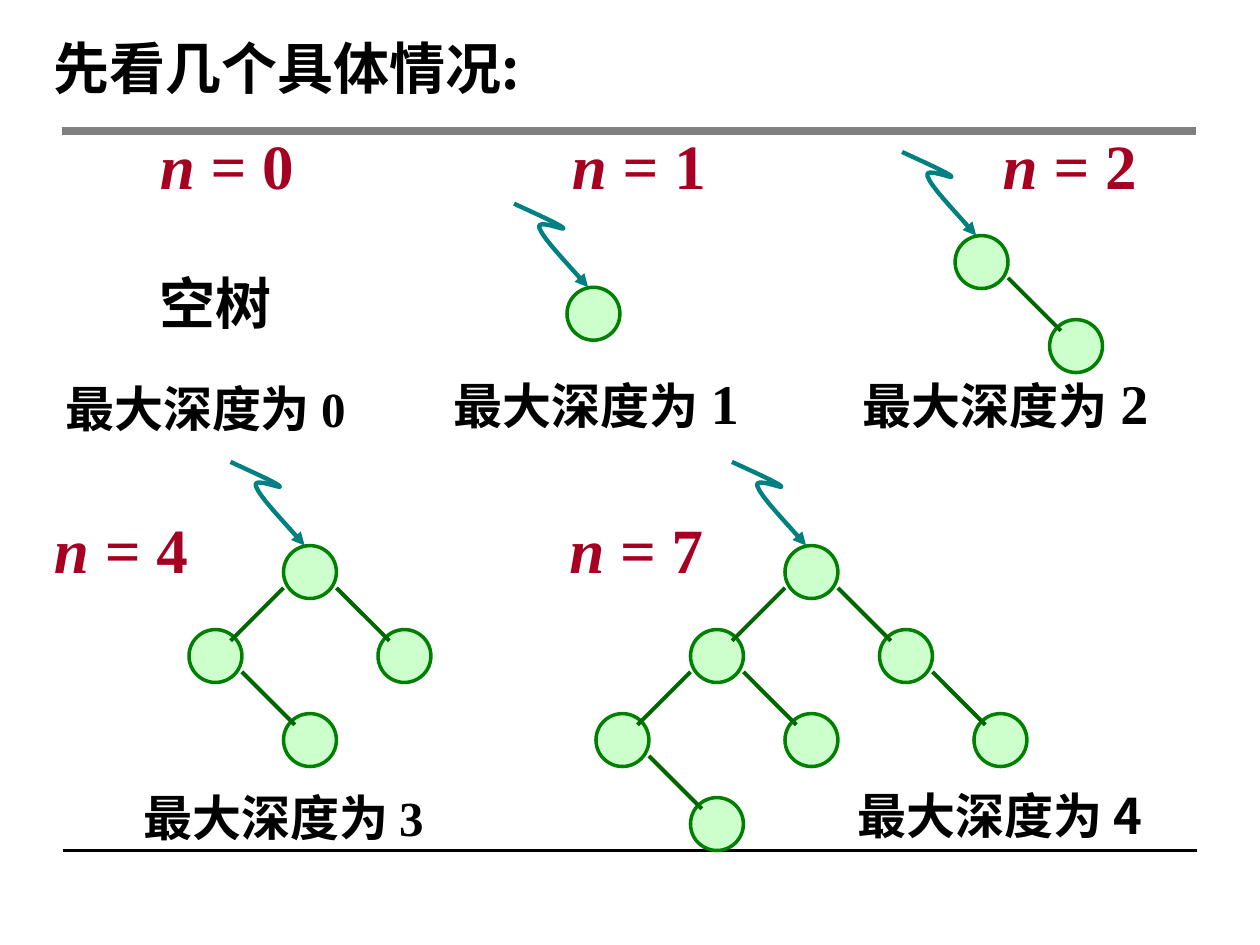
from pptx import Presentation
from pptx.dml.color import RGBColor
from pptx.enum.shapes import MSO_CONNECTOR, MSO_SHAPE
from pptx.enum.text import MSO_ANCHOR, PP_ALIGN
from pptx.oxml.ns import qn
from pptx.util import Inches, Pt
from lxml import etree

STRAIGHT = MSO_CONNECTOR.STRAIGHT
ELLIPSE = MSO_SHAPE.OVAL
MIDDLE = MSO_ANCHOR.MIDDLE
LEFT, RIGHT = PP_ALIGN.LEFT, PP_ALIGN.RIGHT

WIDTH, HEIGHT = Inches(10), Inches(7.5)
SERIF, SANS = "Times New Roman", "Noto Sans CJK SC"
BLACK, RED = "000000", "A50021"

NODE_W, NODE_H = 4.2, 5.6
COLUMN, ROW = 7.5, 8.89
POINTER = [(-1, -1.58), (-0.57, -1.38), (-0.14, -1.19), (-0.07, -1.12),
           (0, -1.05), (-0.6, -1.31), (-0.52, -1.12),
           (-0.45, -0.93), (-0.02, -0.48), (0.4, 0)]

CASES = [
    ("= 0", 11.7, 12.67),
    ("= 1", 44.4, 12.67),
    ("= 2", 78.6, 12.67),
    ("= 4", 3.3, 53.33),
    ("= 7", 44.2, 53.33),
]
DEPTHS = [
    ((4.2, 39.33, 28.3, 7.6), [("最大深度为 ", SANS, 28), ("0", SERIF, 28)]),
    ((35, 38.27, 30, 8.53), [("最大深度为", SERIF, 28), (" 1", SERIF, 32)]),
    ((67.5, 38.27, 29.8, 8.53), [("最大深度为", SANS, 28), (" 2", SERIF, 32)]),
    ((10.4, 82.67, 28.3, 7.6), [("最大深度为 ", SANS, 28), ("3", SERIF, 28)]),
    ((67.1, 82.4, 30, 7.6), [("最大深度为 4", SANS, 28)]),
]
TREES = [
    (45, 30.4, []),
    (75.8, 24.93, ["R"]),
    (22.5, 57.73, ["R", "L", "LR"]),
    (62.3, 57.73, ["R", "L", "LR", "RR", "LL", "LLR"]),
]


def across(percent):
    return round(WIDTH * percent / 100)


def down(percent):
    return round(HEIGHT * percent / 100)


def colour(value):
    return RGBColor.from_string(value)


def set_line(line, value, width):
    line.color.rgb = colour(value)
    line.width = Pt(width)


def add_text(slide, place, runs, align=LEFT, wrap=True):
    x, y, w, h = place
    frame = slide.shapes.add_textbox(across(x), down(y), across(w), down(h)).text_frame
    frame.word_wrap = wrap
    frame.vertical_anchor = MIDDLE
    paragraph = frame.paragraphs[0]
    paragraph.alignment = align
    for text, formats, value in runs:
        run = paragraph.add_run()
        run.text = text
        run.font.color.rgb = colour(value)
        for name, setting in formats.items():
            setattr(run.font, name, setting)
        east_asian = etree.SubElement(run.font._element, qn("a:ea"))
        east_asian.set("typeface", SANS)


def styled(text, font, size, value=BLACK, italic=False):
    formats = {"name": font, "size": Pt(size), "bold": True, "italic": italic}
    return text, formats, value


def add_line(slide, start, end, value, width):
    line = slide.shapes.add_connector(
        STRAIGHT, across(start[0]), down(start[1]), across(end[0]), down(end[1]))
    set_line(line.line, value, width)
    etree.SubElement(line._element.spPr, qn("a:effectLst"))


def add_node(slide, x, y):
    node = slide.shapes.add_shape(ELLIPSE, across(x), down(y), across(NODE_W), down(NODE_H))
    node.shadow.inherit = False
    node.fill.solid()
    node.fill.fore_color.rgb = colour("CCFFCC")
    set_line(node.line, "008000", 2)


def add_pointer(slide, x, y):
    points = [(across(x + dx * NODE_W), down(y + dy * NODE_H)) for dx, dy in POINTER]
    builder = slide.shapes.build_freeform(*points[0], scale=1.0)
    builder.add_line_segments(points[1:], close=False)
    pointer = builder.convert_to_shape()
    pointer.shadow.inherit = False
    pointer.fill.background()
    set_line(pointer.line, "008080", 2.5)
    etree.SubElement(pointer.line._get_or_add_ln(), qn("a:tailEnd")).set("type", "triangle")
    outline = pointer._element.xpath(".//a:path")[0]
    segments = outline.findall(qn("a:lnTo"))
    for first in range(0, len(segments), 3):
        curve = etree.SubElement(outline, qn("a:cubicBezTo"))
        for segment in segments[first:first + 3]:
            curve.append(segment[0])
            outline.remove(segment)


def add_tree(slide, root_x, root_y, descents):
    add_node(slide, root_x, root_y)
    add_pointer(slide, root_x, root_y)
    for descent in descents:
        side = 1 if descent[-1] == "R" else -1
        x = root_x + (descent.count("R") - descent.count("L")) * COLUMN
        y = root_y + len(descent) * ROW
        add_node(slide, x, y)
        parent_x, parent_y = x - side * COLUMN, y - ROW
        start_x = parent_x + (NODE_W if side == 1 else 0)
        start_y = parent_y + 0.8 * NODE_H
        end = (start_x + side * NODE_W, start_y + NODE_H)
        add_line(slide, (start_x, start_y), end, "006600", 2.25)


def main():
    deck = Presentation()
    deck.slide_width, deck.slide_height = WIDTH, HEIGHT
    slide = deck.slides.add_slide(deck.slide_layouts[6])
    add_line(slide, (5, 90), (95, 90), BLACK, 2)
    add_line(slide, (4.9, 13.87), (94.9, 13.87), "808080", 5)
    for count, x, y in CASES:
        add_text(slide, (x, y, 13.1, 9.33),
                 [styled("n ", SERIF, 36, RED, True), styled(count, SERIF, 36, RED)])
    add_text(slide, (11.7, 27.73, 13.1, 8.53), [styled("空树", SERIF, 32)])
    for place, parts in DEPTHS:
        add_text(slide, place, [styled(*part) for part in parts])
    for tree in TREES:
        add_tree(slide, *tree)
    add_text(slide, (1.9, 2.8, 38.9, 8.53),
             [styled("先看几个具体情况:", SANS, 32)], RIGHT, False)
    deck.save("out.pptx")


if __name__ == "__main__":
    main()
